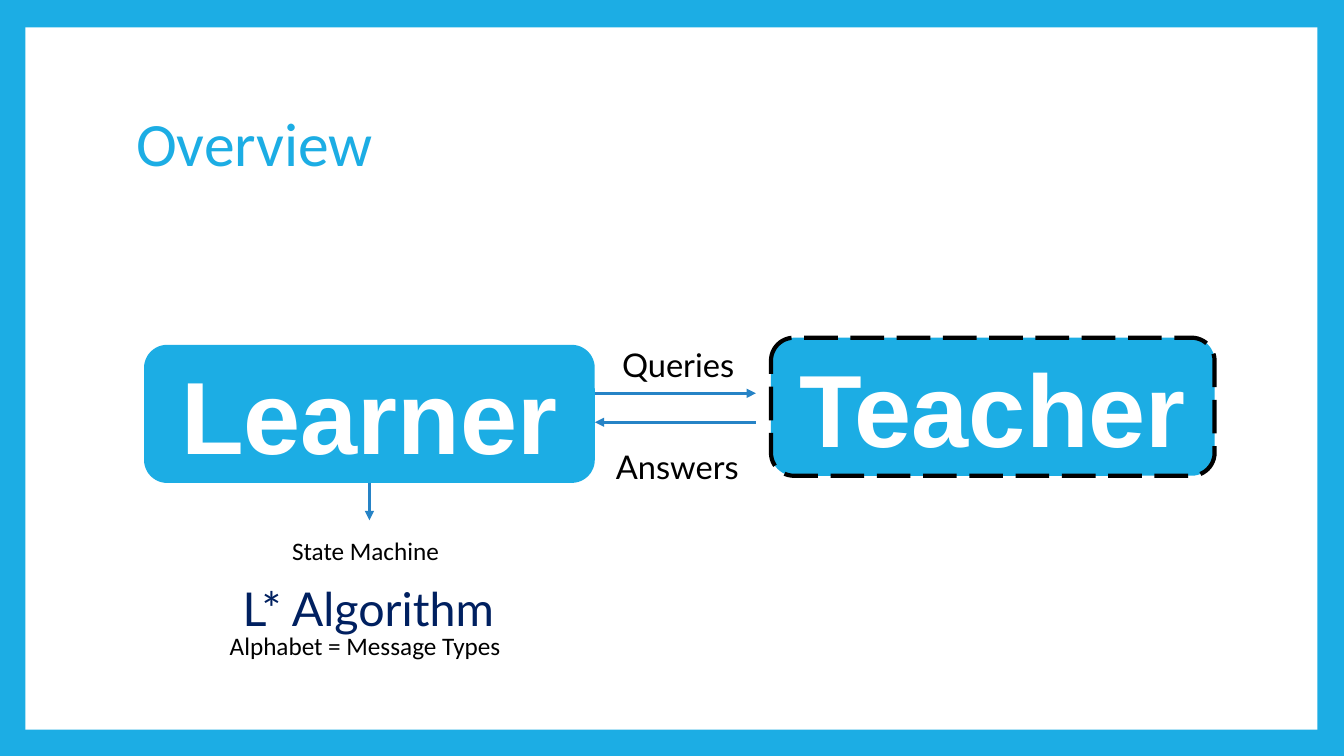
from dataclasses import dataclass

from lxml.etree import SubElement
from pptx import Presentation
from pptx.dml.color import RGBColor
from pptx.enum.dml import MSO_LINE
from pptx.enum.shapes import MSO_CONNECTOR, MSO_SHAPE
from pptx.enum.text import MSO_ANCHOR, MSO_AUTO_SIZE, PP_ALIGN
from pptx.oxml.ns import qn
from pptx.shapes.autoshape import Shape
from pptx.shapes.connector import Connector
from pptx.slide import Slide
from pptx.util import Cm, Pt


@dataclass(frozen=True)
class Theme:
    accent: RGBColor = RGBColor(0x1C, 0xAD, 0xE4)
    arrow: RGBColor = RGBColor(0x26, 0x83, 0xC6)
    navy: RGBColor = RGBColor(0x00, 0x20, 0x60)
    black: RGBColor = RGBColor(0x00, 0x00, 0x00)
    white: RGBColor = RGBColor(0xFF, 0xFF, 0xFF)
    title_size: float = 44
    role_size: float = 73.3
    algorithm_size: float = 33.3
    message_size: float = 23.3
    note_size: float = 18
    arrow_width: float = 2.25
    dash_width: float = 3


THEME = Theme()


@dataclass(frozen=True)
class Area:
    left: float
    top: float
    width: float
    height: float

    def lengths(self) -> tuple[Cm, Cm, Cm, Cm]:
        return Cm(self.left), Cm(self.top), Cm(self.width), Cm(self.height)


@dataclass(frozen=True)
class Style:
    font: str
    size: float
    color: RGBColor
    bold: bool = False
    centred: bool = True
    middle: bool = True
    wrap: bool = True
    grow: bool = True
    inset_x: float = 0.13
    inset_y: float = 0.13


@dataclass(frozen=True)
class Label:
    text: str
    area: Area
    style: Style


@dataclass(frozen=True)
class Role:
    text: str
    area: Area
    dashed: bool = False


@dataclass(frozen=True)
class Arrow:
    start: tuple[float, float]
    end: tuple[float, float]


TITLE = Style("Calibri", THEME.title_size, THEME.accent, centred=False,
              grow=False, inset_x=0.25)
ROLE = Style("Arial", THEME.role_size, THEME.white, bold=True, inset_x=0, inset_y=0)
ALGORITHM = Style("Lato", THEME.algorithm_size, THEME.navy)
MESSAGE = Style("Lato", THEME.message_size, THEME.black)
NOTE = Style("Calibri", THEME.note_size, THEME.black, centred=False,
             middle=False, wrap=False, inset_x=0.25)

FRAME = Area(0.64, 0.69, 32.56, 17.7)
LEARNER = Role("Learner", Area(3.63, 8.69, 11.36, 3.48))
TEACHER = Role("Teacher", Area(19.43, 8.51, 11.18, 3.48), dashed=True)
LABELS = (
    Label("Overview", Area(3.18, 1.7, 27.43, 3.76), TITLE),
    Label("L* Algorithm", Area(5.31, 14.5, 7.95, 1.65), ALGORITHM),
    Label("Alphabet = Message Types", Area(5.54, 15.75, 7.49, 1.02), NOTE),
    Label("State Machine", Area(7.11, 13.36, 4.34, 1.02), NOTE),
    Label("Queries", Area(14.5, 8.56, 5.18, 1.24), MESSAGE),
    Label("Answers", Area(14.48, 11.13, 5.18, 1.24), MESSAGE),
)
QUERIES = Arrow((14.99, 9.91), (19.05, 9.91))
ANSWERS = Arrow((19.05, 10.64), (14.99, 10.64))
RESULT = Arrow((9.31, 12.17), (9.31, 13.11))


def write_text(box: Shape, text: str, style: Style) -> None:
    frame = box.text_frame
    frame.text = text
    frame.word_wrap = style.wrap
    frame.auto_size = MSO_AUTO_SIZE.SHAPE_TO_FIT_TEXT if style.grow else MSO_AUTO_SIZE.NONE
    frame.vertical_anchor = MSO_ANCHOR.MIDDLE if style.middle else MSO_ANCHOR.TOP
    frame.margin_left = frame.margin_right = Cm(style.inset_x)
    frame.margin_top = frame.margin_bottom = Cm(style.inset_y)
    para = frame.paragraphs[0]
    para.alignment = PP_ALIGN.CENTER if style.centred else PP_ALIGN.LEFT
    for span in para.runs:
        span.font.name = style.font
        span.font.size = Pt(style.size)
        span.font.bold = style.bold
        span.font.color.rgb = style.color


def add_block(page: Slide, kind: MSO_SHAPE, area: Area, fill: RGBColor) -> Shape:
    block = page.shapes.add_shape(kind, *area.lengths())
    block.shadow.inherit = False
    block.fill.solid()
    block.fill.fore_color.rgb = fill
    block.line.fill.background()
    return block


def add_role(page: Slide, role: Role) -> Shape:
    block = add_block(page, MSO_SHAPE.ROUNDED_RECTANGLE, role.area, THEME.accent)
    if role.dashed:
        block.line.color.rgb = THEME.black
        block.line.width = Pt(THEME.dash_width)
        block.line.dash_style = MSO_LINE.LONG_DASH
    write_text(block, role.text, ROLE)
    return block


def add_label(page: Slide, label: Label) -> None:
    box = page.shapes.add_textbox(*label.area.lengths())
    write_text(box, label.text, label.style)


def add_arrow(page: Slide, arrow: Arrow) -> Connector:
    points = [Cm(value) for value in (*arrow.start, *arrow.end)]
    connector = page.shapes.add_connector(MSO_CONNECTOR.STRAIGHT, *points)
    connector.line.color.rgb = THEME.arrow
    connector.line.width = Pt(THEME.arrow_width)
    SubElement(connector.line._get_or_add_ln(), qn("a:tailEnd"), type="triangle")
    SubElement(connector._element.spPr, qn("a:effectLst"))
    return connector


def main() -> None:
    deck = Presentation()
    deck.slide_width = Cm(33.87)
    deck.slide_height = Cm(19.05)
    page = deck.slides.add_slide(deck.slide_layouts[6])
    page.background.fill.solid()
    page.background.fill.fore_color.rgb = THEME.accent

    add_block(page, MSO_SHAPE.RECTANGLE, FRAME, THEME.white)
    learner = add_role(page, LEARNER)
    add_role(page, TEACHER)
    for label in LABELS:
        add_label(page, label)
    for arrow in (QUERIES, ANSWERS):
        add_arrow(page, arrow)
    add_arrow(page, RESULT).begin_connect(learner, 2)

    deck.save("out.pptx")


if __name__ == "__main__":
    main()
